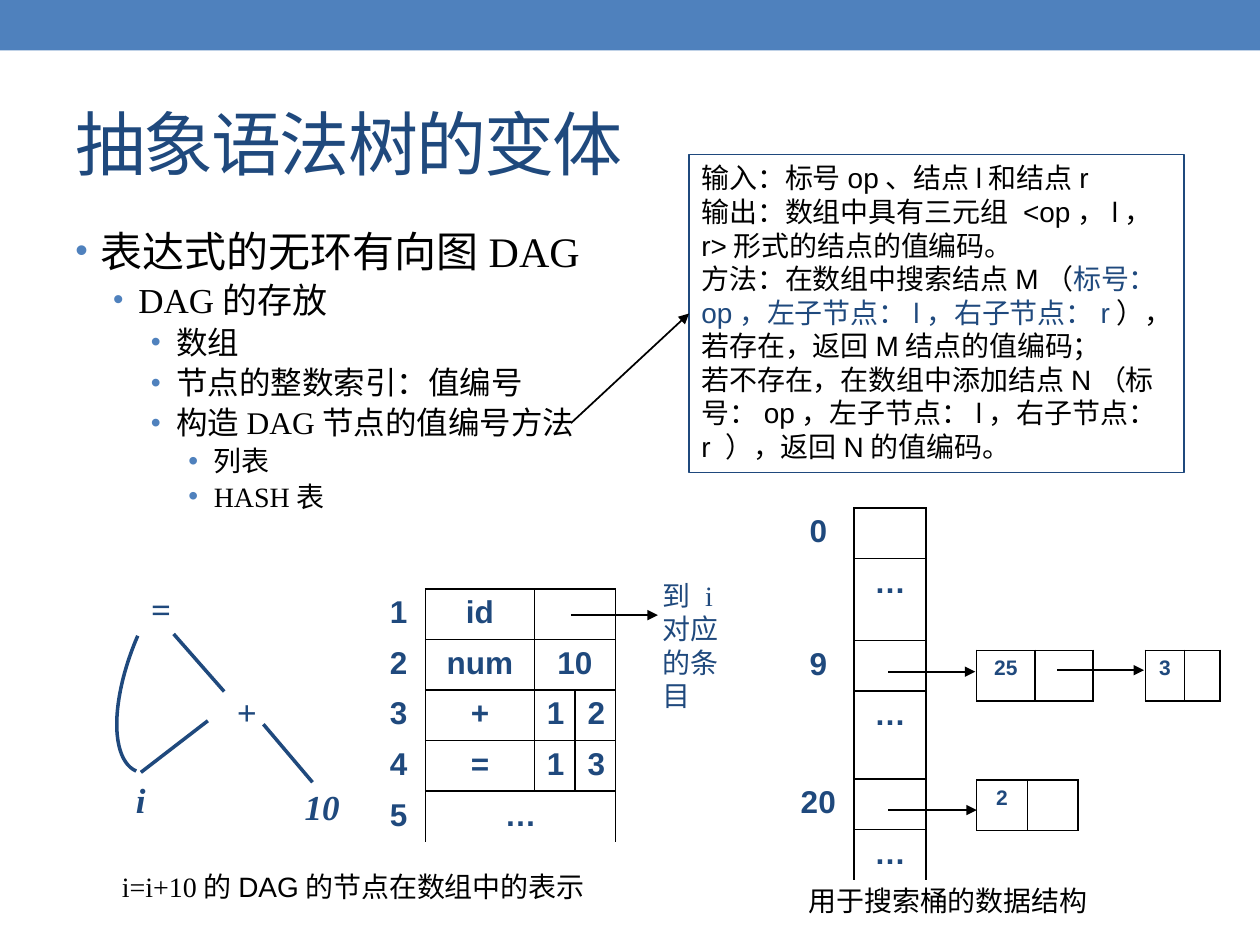
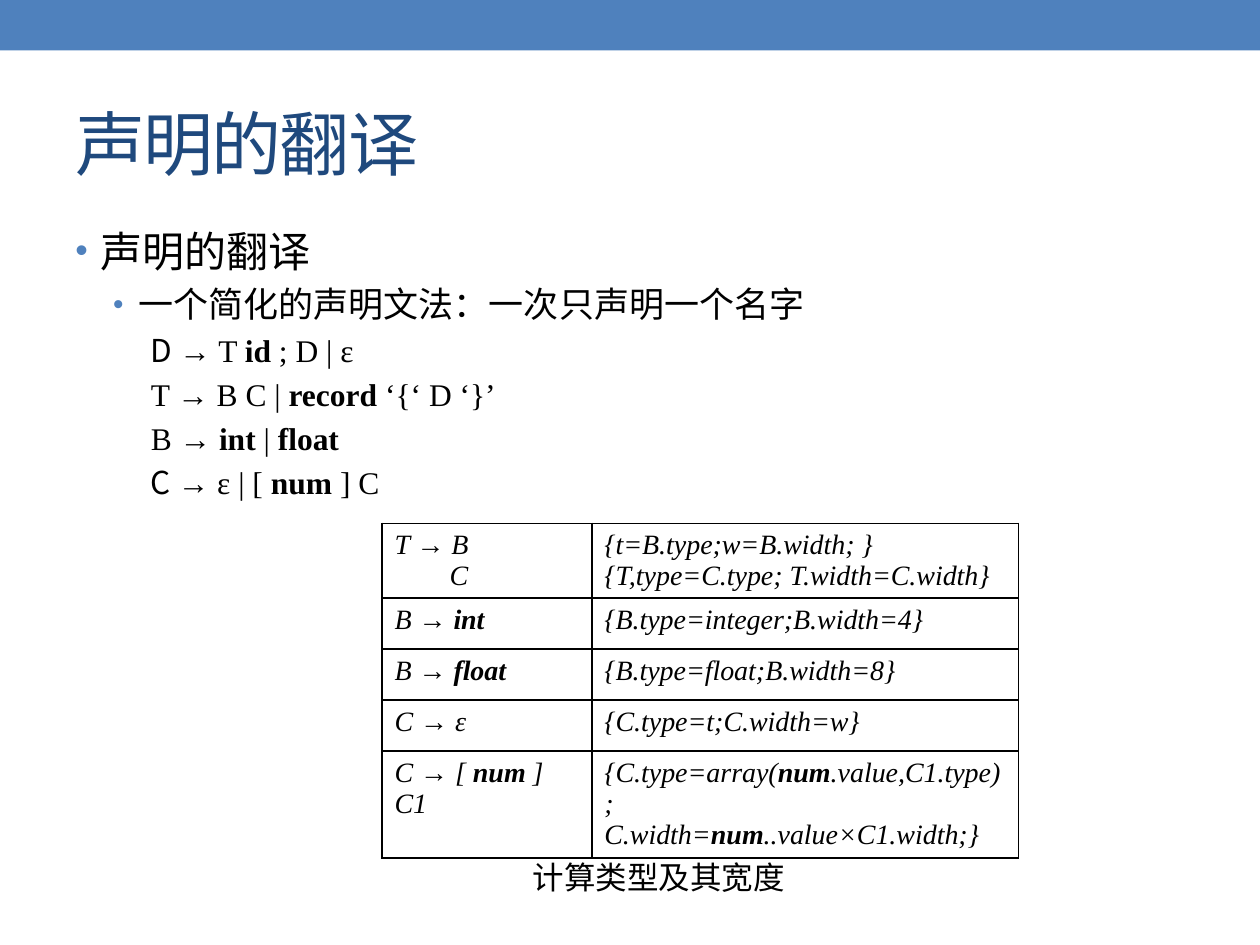
from dataclasses import dataclass

import pptx
import pptx.dml.color
import pptx.enum.lang
import pptx.enum.shapes
import pptx.enum.text
import pptx.oxml.ns
import pptx.util
from lxml import etree

Cm = pptx.util.Cm
Pt = pptx.util.Pt
PLAIN_TABLE_STYLE = "{2D5ABB26-0587-4C30-8999-92F81FD0307C}"


@dataclass(frozen=True)
class Theme:
    band: str = "4F81BD"
    navy: str = "1F497D"
    black: str = "000000"
    sans: str = "Arial"
    serif: str = "Times New Roman"
    cjk: str = "Noto Sans CJK SC"
    title: int = 40
    levels: tuple = (24, 20, 18, 16)
    bullet_percents: tuple = (85, 85, 90, 100)
    label: int = 18
    symbol: int = 20
    note: int = 16
    small: int = 12


THEME = Theme()
BOLD = {"bold": True}
SERIF = {"font": THEME.serif}


def rgb(code):
    return pptx.dml.color.RGBColor.from_string(code)


def add_xml(parent, tag, **attributes):
    return etree.SubElement(parent, pptx.oxml.ns.qn(tag), attributes)


def write(paragraph, text, accent=None, **fmt):
    """Append text; the parts between asterisks also take the accent format."""
    for index, piece in enumerate(text.split("*")):
        if piece:
            add_run(paragraph, piece, **(fmt | (accent or {}) if index % 2 else fmt))


def add_run(paragraph, text, size=THEME.note, font=THEME.sans, east=THEME.sans,
            color=THEME.black, bold=False, italic=False, tracking=None):
    run = paragraph.add_run()
    run.text = text
    run.font.size = Pt(size)
    run.font.bold = bold
    run.font.italic = italic
    run.font.color.rgb = rgb(color)
    run.font.name = font
    run.font.language_id = pptx.enum.lang.MSO_LANGUAGE_ID.SIMPLIFIED_CHINESE
    properties = run.font._element
    add_xml(properties, "a:ea", typeface=east)
    if tracking:
        properties.set("spc", str(tracking))


def next_paragraph(frame):
    """Return the untouched first paragraph, or a new one after it."""
    first = frame.paragraphs[0]
    return frame.add_paragraph() if first.runs else first


def write_lines(frame, text, align=None, **fmt):
    for line in text.split("\n"):
        paragraph = next_paragraph(frame)
        paragraph.alignment = align
        write(paragraph, line, **fmt)


def indent(paragraph, left, first=0):
    properties = paragraph._p.get_or_add_pPr()
    properties.set("marL", str(Cm(left)))
    properties.set("indent", str(Cm(first)))
    return properties


def draw_borders(cell, sides):
    """Draw the sides named in a string such as 'LRT'."""
    properties = cell._tc.get_or_add_tcPr()
    for index, side in enumerate(side for side in "LRTB" if side in sides):
        line = etree.Element(pptx.oxml.ns.qn(f"a:ln{side}"), w=str(Pt(1)))
        fill = add_xml(line, "a:solidFill")
        add_xml(fill, "a:srgbClr", val=THEME.black)
        properties.insert(index, line)


class Deck:
    def __init__(self, theme):
        self.theme = theme
        self.file = pptx.Presentation()
        self.file.slide_width, self.file.slide_height = Cm(25.4), Cm(19.05)
        self.slide = None

    def start(self, title):
        self.slide = self.file.slides.add_slide(self.file.slide_layouts[6])
        band = self.shape("RECTANGLE", 0, 0, 25.4, 1.02)
        band.fill.solid()
        band.fill.fore_color.rgb = rgb(self.theme.band)
        heading = self.text(title, 1.27, 1.5, 22.86, 2.74, size=self.theme.title,
                            font=self.theme.cjk, east=self.theme.cjk,
                            color=self.theme.navy, tracking=-100)
        heading.vertical_anchor = pptx.enum.text.MSO_ANCHOR.MIDDLE

    def shape(self, kind, left, top, width, height, line=None, weight=1):
        shape = self.slide.shapes.add_shape(
            pptx.enum.shapes.MSO_SHAPE[kind], Cm(left), Cm(top), Cm(width), Cm(height))
        shape.shadow.inherit = False
        shape.fill.background()
        if line:
            shape.line.color.rgb = rgb(line)
            shape.line.width = Pt(weight)
        else:
            shape.line.fill.background()
        return shape

    def text(self, text, left, top, width, height, wrap=True, **fmt):
        box = self.slide.shapes.add_textbox(Cm(left), Cm(top), Cm(width), Cm(height))
        box.text_frame.word_wrap = wrap
        if text:
            write_lines(box.text_frame, text, **fmt)
        return box.text_frame

    def body(self):
        return self.text("", 1.27, 4.42, 22.86, 13.5)

    def body_line(self, frame, level):
        """Add a paragraph whose gap before it follows its level."""
        paragraph = next_paragraph(frame)
        if frame.paragraphs[0].runs:
            paragraph.space_before = Pt(round(self.theme.levels[level] * 0.2, 1))
        return paragraph

    def bullet(self, frame, level, text, spacing=None, **fmt):
        paragraph = self.body_line(frame, level)
        properties = indent(paragraph, 0.51 + 0.76 * level, -0.51)
        color = add_xml(properties, "a:buClr")
        add_xml(color, "a:srgbClr", val=self.theme.band)
        add_xml(properties, "a:buSzPct", val=str(self.theme.bullet_percents[level] * 1000))
        add_xml(properties, "a:buFont", typeface=self.theme.sans)
        add_xml(properties, "a:buChar", char="•")
        paragraph.line_spacing = spacing
        write(paragraph, text, size=self.theme.levels[level], **fmt)

    def line(self, x1, y1, x2, y2, color=THEME.black, weight=1, arrow=False):
        line = self.slide.shapes.add_connector(
            pptx.enum.shapes.MSO_CONNECTOR.STRAIGHT, Cm(x1), Cm(y1), Cm(x2), Cm(y2))
        line.line.color.rgb = rgb(color)
        line.line.width = Pt(weight)
        if arrow:
            add_xml(line.line._get_or_add_ln(), "a:tailEnd", type="triangle")
        add_xml(line._element.spPr, "a:effectLst")
        return line

    def table(self, rows, left, top, widths, heights, sides=lambda row, col: "LRTB",
              bottom_margin=0.13, **fmt):
        frame = self.slide.shapes.add_table(
            len(rows), len(widths), Cm(left), Cm(top), Cm(sum(widths)), Cm(sum(heights)))
        table = frame.table
        table.first_row = table.horz_banding = False
        style = next(frame._element.iter(pptx.oxml.ns.qn("a:tableStyleId")))
        style.text = PLAIN_TABLE_STYLE
        for column, width in zip(table.columns, widths):
            column.width = Cm(width)
        for row, height in zip(table.rows, heights):
            row.height = Cm(height)
        for r, row in enumerate(rows):
            for c, text in enumerate(row):
                cell = table.cell(r, c)
                cell.margin_bottom = Cm(bottom_margin)
                cell.fill.background()
                draw_borders(cell, sides(r, c))
                if text:
                    write_lines(cell.text_frame, text, **fmt)
        return table


def draw_expression_dag(deck):
    theme = deck.theme
    for symbol, left, top, width in (("=", 2.79, 11.71, 0.99), ("+", 4.52, 13.79, 0.99),
                                     ("i", 2.49, 15.57, 0.71), ("10", 5.89, 15.72, 1.22)):
        deck.text(symbol, left, top, width, 1.12, wrap=False, size=theme.symbol,
                  font=theme.serif, color=theme.navy, bold=True, italic=True)
    for ends in ((3.5, 12.78, 4.52, 13.94), (4.19, 14.53, 2.84, 15.57),
                 (5.31, 14.6, 6.3, 15.77)):
        deck.line(*ends, color=theme.navy, weight=2)
    assignment_edge = deck.shape("ARC", 2.69, 10.72, 2.11, 5.03, theme.navy, 2)
    assignment_edge.rotation = 203.4


def draw_node_array(deck, label):
    rows = (("1", "id", "", ""), ("2", "num", "10", ""), ("3", "+", "1", "2"),
            ("4", "=", "1", "3"), ("5", "…", "", ""))

    def sides(row, col):
        return "R" if col == 0 else "LRT" if row == 4 else "LRTB"

    array = deck.table(rows, 7.49, 11.87, (1.09, 2.19, 0.82, 0.82), [1.02] * 5,
                       sides, **label)
    for row, first in ((0, 2), (1, 2), (4, 1)):
        array.cell(row, first).merge(array.cell(row, 3))
    deck.text("到 i对应的条目", 13.11, 11.53, 2.03, 2.31,
              font=deck.theme.serif, color=deck.theme.navy)
    deck.line(11.51, 12.4, 13.26, 12.4, arrow=True)
    deck.text("*i=i+10*的DAG的节点在数组中的表示", 2.21, 17.4, 10.9, 0.94, accent=SERIF)


def draw_hash_buckets(deck, label):
    rows = (("0", ""), ("", "…"), ("9", ""), ("", "…"), ("20", ""), ("", "…"))

    def sides(row, col):
        return "" if col == 0 else "LRT" if row == 5 else "LRTB"

    deck.table(rows, 15.77, 10.24, (1.45, 1.45), (1.02, 1.65, 1.02, 1.77, 1.02, 1.02),
               sides, **label)
    node_label = label | {"size": deck.theme.small}
    for value, left, top, widths in (("25", 19.69, 13.11, (1.17, 1.17)),
                                     ("2", 19.69, 15.72, (1.02, 1.02)),
                                     ("3", 23.09, 13.11, (0.79, 0.71))):
        deck.table(((value, ""),), left, top, widths, [1.02], **node_label)
    for start, end, y in ((17.91, 19.66, 13.54), (17.91, 19.69, 16.33),
                          (21.31, 23.06, 13.51)):
        deck.line(start, y, end, y, arrow=True)
    deck.text("用于搜索桶的数据结构", 16.05, 17.68, 6.22, 0.94, wrap=False)


def draw_value_number_method(deck):
    method = deck.shape("RECTANGLE", 13.89, 3.12, 9.98, 6.4, deck.theme.navy, 0.75)
    method.text_frame.word_wrap = True
    method.text_frame.vertical_anchor = pptx.enum.text.MSO_ANCHOR.TOP
    write_lines(
        method.text_frame,
        "输入：标号op、结点l和结点r\n"
        "输出：数组中具有三元组 <op，l，r>形式的结点的值编码。\n"
        "方法：在数组中搜索结点M（*标号：op，左子节点：l，右子节点：r*），\n"
        "若存在，返回M结点的值编码；\n"
        "若不存在，在数组中添加结点N（标号：op，左子节点：l，右子节点：r ），返回N的值编码。",
        align=pptx.enum.text.PP_ALIGN.LEFT, accent={"color": deck.theme.navy})
    pointer = deck.line(11.51, 8.53, 13.89, 6.32, arrow=True)
    pointer.end_connect(method, 1)


def build_tree_variants(deck):
    deck.start("抽象语法树的变体")
    outline = deck.body()
    deck.bullet(outline, 0, "表达式的无环有向图*DAG*", accent=SERIF)
    for level, text in ((1, "*DAG*的存放"), (2, "数组"), (2, "节点的整数索引：值编号"),
                        (2, "构造*DAG*节点的值编号方法"), (3, "列表"), (3, "*HASH*表")):
        deck.bullet(outline, level, text, spacing=0.9, accent=SERIF)
    label = {"size": deck.theme.label, "color": deck.theme.navy, "bold": True,
             "align": pptx.enum.text.PP_ALIGN.CENTER}
    draw_expression_dag(deck)
    draw_node_array(deck, label)
    draw_value_number_method(deck)
    draw_hash_buckets(deck, label)


def build_declarations(deck):
    theme = deck.theme
    deck.start("声明的翻译")
    outline = deck.body()
    deck.bullet(outline, 0, "声明的翻译", font=theme.cjk)
    deck.bullet(outline, 1, "一个简化的声明文法：一次只声明一个名字", font=theme.cjk)
    for head, font, production in (("D ", theme.cjk, "→ T *id* ; D | ε"),
                                   ("T ", theme.serif, "→ B C | *record* ‘{‘ D ‘}’"),
                                   ("B ", theme.serif, "→ *int* | *float*"),
                                   ("C ", theme.cjk, "→ ε | [ *num *] C")):
        rule = deck.body_line(outline, 2)
        indent(rule, 1.52)
        rule.line_spacing = Pt(21.5)
        write(rule, head, size=theme.levels[2], font=font)
        write(rule, production, size=theme.levels[2], font=theme.serif, accent=BOLD)
    actions = (
        ("T → B\nC", "{t=B.type;w=B.width; }\n{T,type=C.type; T.width=C.width}"),
        ("B → *int*", "{B.type=integer;B.width=4}"),
        ("B → *float*", "{B.type=float;B.width=8}"),
        ("C → ε", "{C.type=t;C.width=w}"),
        ("C → [ *num *] C1",
         "{C.type=array(*num*.value,C1.type);\nC.width=*num*..value×C1.width;}"),
    )
    scheme = deck.table(actions, 7.7, 10.55, (4.23, 8.6), (1.5, 1.03, 1.03, 1.03, 2.1),
                        bottom_margin=0, font=theme.serif, italic=True, accent=BOLD)
    indent(scheme.cell(0, 0).text_frame.paragraphs[1], 1.11)
    deck.text("计算类型及其宽度", 10.49, 17.17, 5.64, 1.02, wrap=False, size=theme.label)


def main():
    deck = Deck(THEME)
    build_tree_variants(deck)
    build_declarations(deck)
    deck.file.save("out.pptx")


if __name__ == "__main__":
    main()
